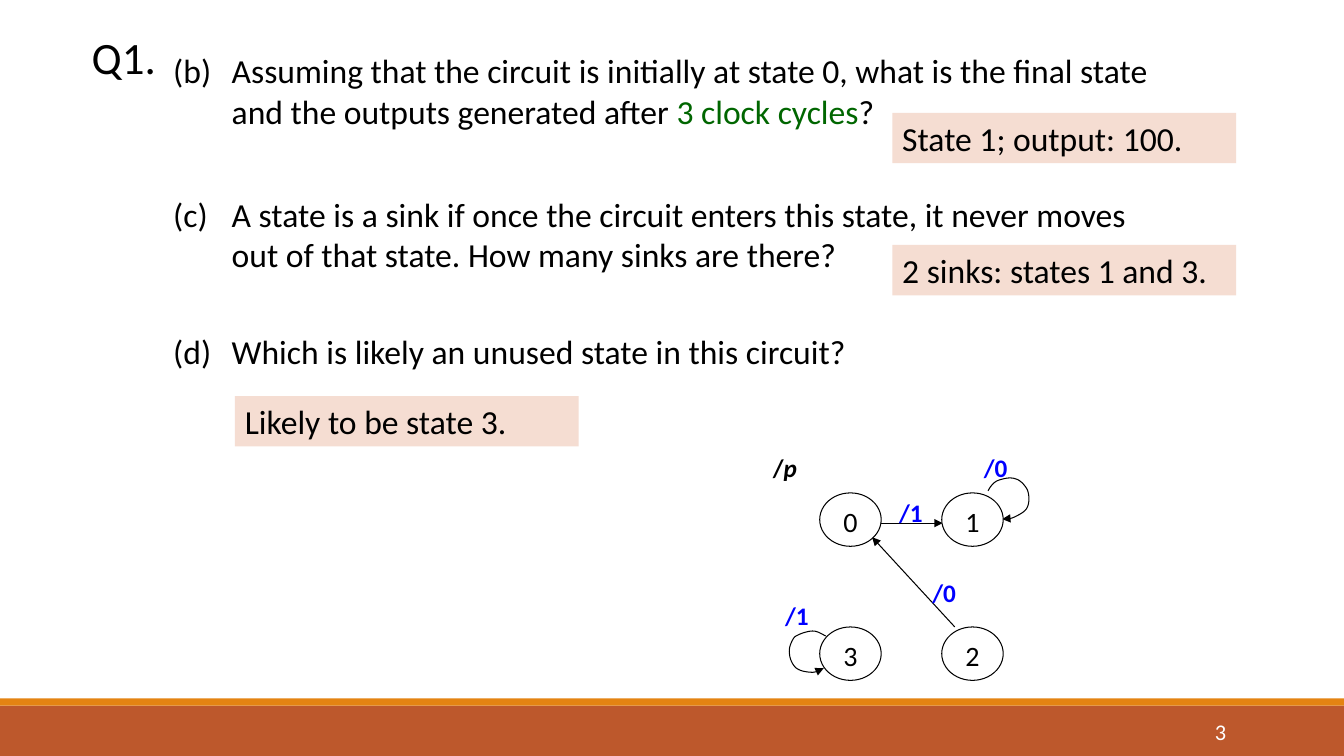
from pptx import Presentation
from pptx.dml.color import RGBColor
from pptx.enum.shapes import MSO_CONNECTOR, MSO_SHAPE
from pptx.enum.text import MSO_ANCHOR, PP_ALIGN
from pptx.oxml.ns import qn
from pptx.util import Inches, Pt
from lxml import etree

RECT, OVAL = MSO_SHAPE.RECTANGLE, MSO_SHAPE.OVAL
LEFT, MID, RIGHT = PP_ALIGN.LEFT, PP_ALIGN.CENTER, PP_ALIGN.RIGHT
TOP, HALF = MSO_ANCHOR.TOP, MSO_ANCHOR.MIDDLE
STRAIGHT = MSO_CONNECTOR.STRAIGHT
BLACK, WHITE, BLUE, GREEN, PEACH = "000000", "FFFFFF", "0000FF", "006600", "F5DDD2"
W, H = 13.33, 7.5

deck = Presentation()
deck.slide_width, deck.slide_height = Inches(W), Inches(H)
slide = deck.slides.add_slide(deck.slide_layouts[5])
shapes = slide.shapes


def write(text, box=None, shape=None, kind=None, fill=None, line=None, size=24,
          color=BLACK, bold=False, align=LEFT, anchor=TOP, pad=(0.1, 0.05), hang=0):
    """Put text (a string, or runs of text, color, italic) in a box or shape."""
    spot = [Inches(v) for v in box]
    if shape is not None:
        shape.left, shape.top, shape.width, shape.height = spot
    elif kind is not None:
        shape = shapes.add_shape(kind, *spot)
        shape.shadow.inherit = False
    else:
        shape = shapes.add_textbox(*spot)
    if fill:
        shape.fill.solid()
        shape.fill.fore_color.rgb = RGBColor.from_string(fill)
    if line:
        shape.line.color.rgb = RGBColor.from_string(line)
        shape.line.width = Pt(0.75)
    elif kind is not None:
        shape.line.fill.background()
    frame = shape.text_frame
    frame.word_wrap = True
    frame.vertical_anchor = anchor
    frame.margin_left = frame.margin_right = Inches(pad[0])
    frame.margin_top = frame.margin_bottom = Inches(pad[1])
    para = frame.paragraphs[0]
    para.alignment = align
    if hang:
        props = para._p.get_or_add_pPr()
        props.set("marL", str(Inches(hang)))
        props.set("indent", str(-Inches(hang)))
    runs = [(text, color, False)] if isinstance(text, str) else text
    for words, tint, slant in runs:
        run = para.add_run()
        run.text = words
        font = run.font
        font.name, font.size, font.bold, font.italic = "Calibri", Pt(size), bold, slant
        font.color.rgb = RGBColor.from_string(tint)
    return shape


def arrow(shape):
    """Thin black line with an arrowhead at its end and no shadow."""
    shape.line.color.rgb = RGBColor.from_string(BLACK)
    shape.line.width = Pt(0.75)
    etree.SubElement(shape.line._get_or_add_ln(), qn("a:tailEnd"), type="triangle")
    if shape._element.spPr.find(qn("a:effectLst")) is None:
        etree.SubElement(shape._element.spPr, qn("a:effectLst"))


# Footer bands and page number
write("", (0, 7, W, 0.5), kind=RECT, fill="BD582C")
write("", (0, 6.93, W, 0.07), kind=RECT, fill="E48312")
write("3", (10.83, 7.06, 1.43, 0.4), size=16, color=WHITE, align=RIGHT, anchor=HALF)

# Title
title = write("Q1.", (0.81, 0.3, 1.11, 0.71), shape=shapes.title, size=32)
title.text_frame.paragraphs[0].line_spacing = 0.9

# Questions
asks = [
    (0.45, 0.91, [("(b) \tAssuming that the circuit is initially at state 0, what is the "
                   "final state and the outputs generated after ", BLACK, False),
                  ("3 clock cycles", GREEN, False), ("?", BLACK, False)]),
    (1.87, 0.91, "(c) \tA state is a sink if once the circuit enters this state, it never "
                 "moves out of that state. How many sinks are there?"),
    (3.23, 0.5, "(d) \tWhich is likely an unused state in this circuit?"),
]
for top, high, text in asks:
    write(text, (1.62, top, 10.1, high), hang=0.58)

# Answers
for left, top, text in [(8.85, 1.12, "State 1; output: 100."),
                        (8.85, 2.43, "2 sinks: states 1 and 3."),
                        (2.33, 3.93, "Likely to be state 3.")]:
    write(text, (left, top, 3.41, 0.5), kind=RECT, fill=PEACH)

# Arrows between states
for x1, y1, x2, y2 in [(8.73, 5.19, 9.35, 5.19), (9.47, 6.22, 8.65, 5.33)]:
    arrow(shapes.add_connector(STRAIGHT, *[Inches(v) for v in (x1, y1, x2, y2)]))

# Self-loops: each start point is followed by cubic curves, sampled evenly
loops = [
    [(8.19, 6.31), (8.15, 6.29), (8.11, 6.26), (8.06, 6.26), (8.01, 6.26),
     (7.92, 6.29), (7.88, 6.32), (7.85, 6.36), (7.82, 6.43), (7.83, 6.48),
     (7.83, 6.53), (7.86, 6.6), (7.9, 6.63), (7.94, 6.66), (8.01, 6.67),
     (8.06, 6.67), (8.1, 6.67), (8.15, 6.64), (8.17, 6.63)],
    [(9.8, 4.87), (9.82, 4.83), (9.85, 4.79), (9.89, 4.77), (9.94, 4.75),
     (10.02, 4.73), (10.07, 4.75), (10.12, 4.76), (10.17, 4.82), (10.19, 4.86),
     (10.21, 4.91), (10.21, 4.99), (10.19, 5.03), (10.17, 5.08), (10.1, 5.11),
     (10.06, 5.13), (10.02, 5.15), (9.97, 5.15), (9.94, 5.15)],
]
STEPS = 8
for knots in loops:
    dots = []
    for i in range(0, len(knots) - 1, 3):
        for n in range(1, STEPS + 1):
            t = n / STEPS
            u = 1 - t
            parts = (u ** 3, 3 * u * u * t, 3 * u * t * t, t ** 3)
            dots.append([Inches(sum(p * k[axis] for p, k in zip(parts, knots[i:i + 4])))
                         for axis in (0, 1)])
    pen = shapes.build_freeform(*[Inches(v) for v in knots[0]])
    pen.add_line_segments(dots, close=False)
    loop = pen.convert_to_shape()
    loop.fill.background()
    arrow(loop)

# States on a two by two grid
for i, name in enumerate("0132"):
    row, col = divmod(i, 2)
    write(name, (8.13 + 1.21 * col, 4.89 + 1.33 * row, 0.61, 0.53), kind=OVAL,
          fill=WHITE, line=BLACK, size=20, align=MID, pad=(0, 0.04))

# Output labels
for left, top, text in [(8.85, 4.92, "/1"), (9.18, 5.72, "/0"), (7.72, 5.95, "/1"),
                        (9.69, 4.48, "/0"),
                        (7.6, 4.48, [("/", BLACK, False), ("p", BLACK, True)])]:
    write(text, (left, top, 0.37, 0.32), size=18, color=BLUE, bold=True,
          align=MID, pad=(0.01, 0.01))

deck.save("out.pptx")
